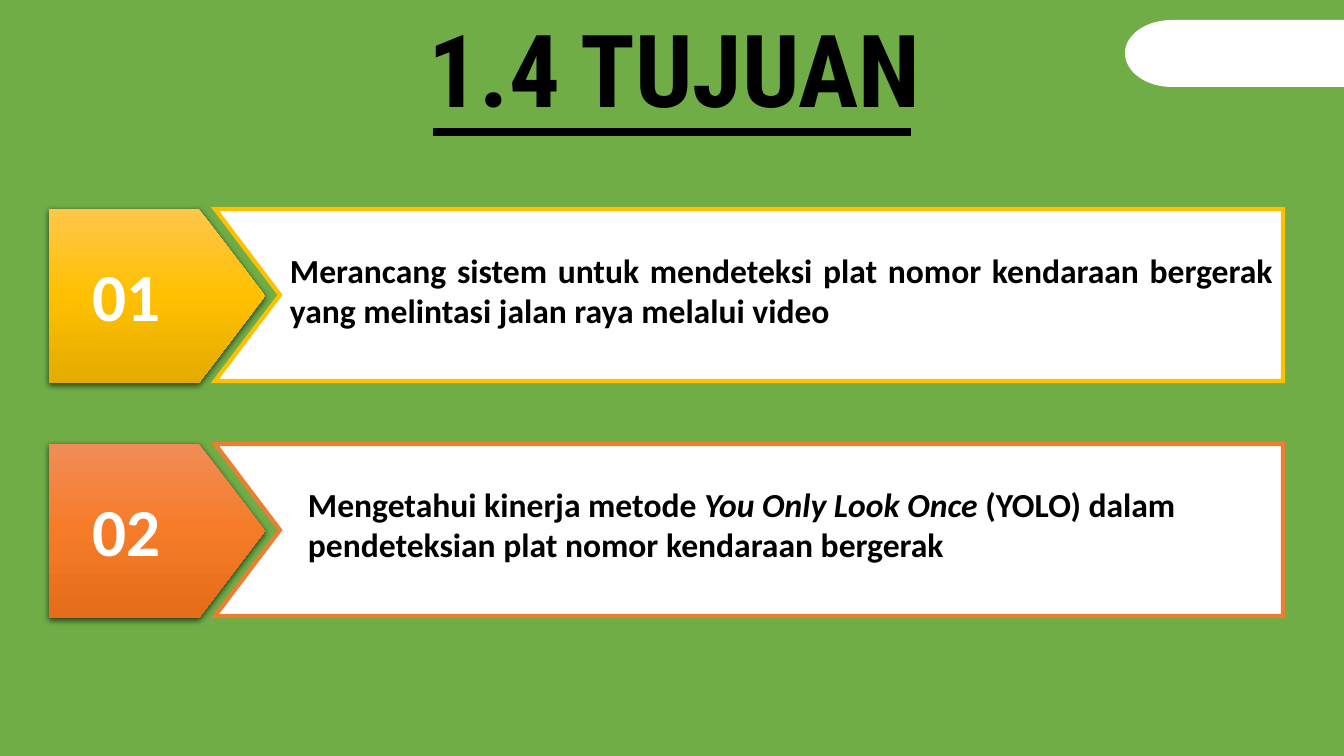
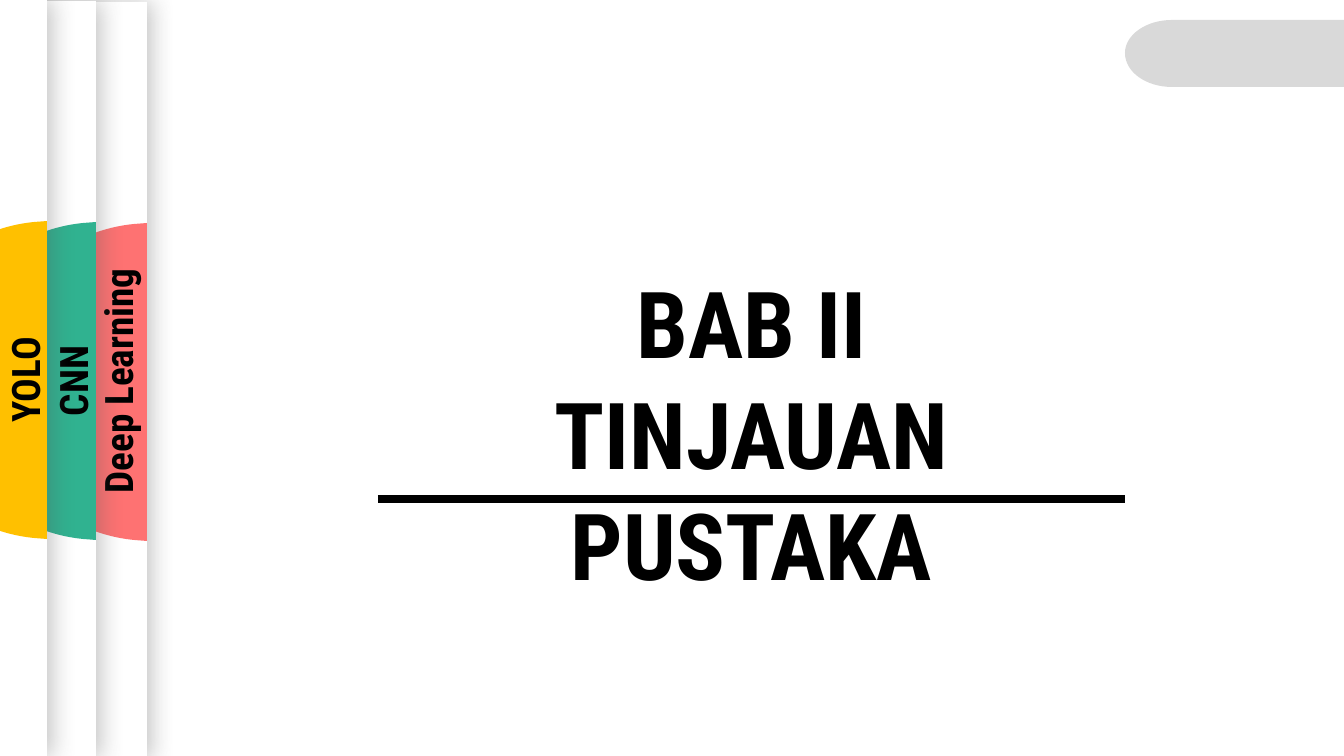
from lxml.etree import SubElement
from pptx import Presentation
from pptx.dml.color import RGBColor
from pptx.enum.shapes import MSO_CONNECTOR, MSO_SHAPE
from pptx.enum.text import MSO_ANCHOR, PP_ALIGN
from pptx.oxml.ns import qn
from pptx.util import Emu, Pt

EMU_PER_PX = 914400 / 100.8
WIDTH, HEIGHT = 1344, 756
BLACK, WHITE, AMBER = "000000", "FFFFFF", "FFC000"
HEADING_FONT, BODY_FONT = "Roboto Condensed", "Calibri"


def px(length):
    return Emu(round(length * EMU_PER_PX))


def rgb(code):
    return RGBColor.from_string(code)


class Deck:
    def __init__(self):
        self.prs = Presentation()
        self.prs.slide_width, self.prs.slide_height = px(WIDTH), px(HEIGHT)
        self.slide = self.shapes = None

    def new_slide(self, background):
        self.slide = self.prs.slides.add_slide(self.prs.slide_layouts[6])
        self.shapes = self.slide.shapes
        fill = self.slide.background.fill
        fill.solid()
        fill.fore_color.rgb = rgb(background)

    def style(self, shape, fill=None, border=None):
        shape.shadow.inherit = False
        if fill:
            shape.fill.solid()
            shape.fill.fore_color.rgb = rgb(fill)
        if border:
            shape.line.color.rgb = rgb(border)
            shape.line.width = Pt(3)
            SubElement(shape._element.spPr.find(qn("a:ln")), qn("a:miter"), lim="800000")
        else:
            shape.line.fill.background()
        return shape

    def shape(self, preset, x, y, width, height, fill=None):
        box = [px(v) for v in (x, y, width, height)]
        return self.style(self.shapes.add_shape(preset, *box), fill)

    def outline(self, corners, fill, border=None, curve=()):
        """Draw straight sides through the corners, then Bezier curves of three points each."""
        start, *rest = [(px(x), px(y)) for x, y in [*corners, *curve]]
        builder = self.shapes.build_freeform(*start, scale=1.0)
        builder.add_line_segments(rest, close=True)
        form = builder.convert_to_shape()
        segments = form._element.spPr.findall(".//" + qn("a:lnTo"))[len(corners) - 1:]
        for i in range(0, len(segments), 3):
            if not curve:
                break
            bend, *others = segments[i:i + 3]
            bend.tag = qn("a:cubicBezTo")
            for other in others:
                bend.append(other[0])
                other.getparent().remove(other)
        return self.style(form, fill, border)

    def corner_tab(self, fill):
        left, bend, right, top, middle, bottom = 1125, 1172, 1346, 20, 53, 87
        self.outline([(bend, top), (right, top), (right, bottom), (bend, bottom)], fill,
                     curve=[(1146, bottom), (left, 72), (left, middle),
                            (left, 35), (1146, top), (bend, top)])

    def half_disc(self, right, middle, fill):
        lower = [(right - 94, 150), (right - 156, 83), (right - 156, 0)]
        upper = [(right - 156, -83), (right - 94, -150), (right - 13, -158)]
        self.outline([(right, middle - 159), (right, middle + 159), (right - 13, middle + 158)],
                     fill, curve=[(x, middle + y) for x, y in lower + upper])

    def gradient(self, shape, colors):
        """Fill from top to bottom with evenly spaced colours."""
        shape.fill.gradient()
        shape.fill.gradient_angle = 270
        stops = shape._element.spPr.find(".//" + qn("a:gsLst"))
        stops.clear()
        for i, code in enumerate(colors):
            position = 100000 * i // (len(colors) - 1)
            stop = SubElement(stops, qn("a:gs"), pos=str(position))
            SubElement(stop, qn("a:srgbClr"), val=code)

    def shadow(self, shape, color, opacity, blur, distance, angle):
        effects = shape._element.spPr.find(qn("a:effectLst"))
        outer = SubElement(effects, qn("a:outerShdw"), blurRad=str(Pt(blur)),
                           dist=str(Pt(distance)), dir=str(angle * 60000),
                           algn="ctr", rotWithShape="0")
        code = SubElement(outer, qn("a:srgbClr"), val=color)
        SubElement(code, qn("a:alpha"), val=str(opacity * 1000))

    def rule(self, x1, x2, y):
        line = self.shapes.add_connector(
            MSO_CONNECTOR.STRAIGHT, px(x1), px(y), px(x2), px(y))
        line.line.color.rgb = rgb(BLACK)
        line.line.width = Pt(6)
        SubElement(line._element.spPr, qn("a:effectLst"))

    def text(self, content, x, y, width, height, *, size, font=HEADING_FONT,
             color=BLACK, align=PP_ALIGN.CENTER, anchor=MSO_ANCHOR.TOP, rotation=0):
        """Write bold text; each line is a paragraph and *marked* parts are italic."""
        box = self.shapes.add_textbox(px(x), px(y), px(width), px(height))
        box.rotation = rotation
        frame = box.text_frame
        frame.word_wrap = True
        frame.vertical_anchor = anchor
        for i, line in enumerate(content.split("\n")):
            paragraph = frame.add_paragraph() if i else frame.paragraphs[0]
            paragraph.alignment = align
            for j, part in enumerate(line.split("*")):
                run = paragraph.add_run()
                run.text = part
                run.font.name, run.font.size = font, Pt(size)
                run.font.bold, run.font.italic = True, j % 2 == 1
                run.font.color.rgb = rgb(color)

    def goal(self, number, top, colors, border, content, x, y, width, align):
        """Draw a numbered arrow with a notched panel holding one goal."""
        arrow = self.shape(MSO_SHAPE.PENTAGON, 49, top, 216, 174)
        arrow.adjustments[0] = 0.38
        self.gradient(arrow, colors)
        self.shadow(arrow, BLACK, 63, 4.5, 1.5, 90)
        left, right, bottom = 215, 1283, top + 172
        self.outline([(left, top), (right, top), (right, bottom), (left, bottom),
                      (280, top + 86)], WHITE, border)
        self.text(number, 83, top + 45, 117, 82, size=48, font=BODY_FONT, color=WHITE,
                  align=PP_ALIGN.LEFT, anchor=MSO_ANCHOR.MIDDLE)
        self.text(content, x, y, width, 92, size=24, font=BODY_FONT, align=align)

    def side_panel(self, label, right, top, color, label_x, label_y):
        """Group a page-sized sheet, pushed out to the left, with its tab and label."""
        self.shapes = self.slide.shapes.add_group_shape().shapes
        sheet = self.shape(MSO_SHAPE.RECTANGLE, right - WIDTH, top, WIDTH, HEIGHT, WHITE)
        self.shadow(sheet, "595959", 35, 17, 3, 0)
        self.half_disc(right, 380 + top, color)
        width, height = 254, 58
        self.text(label, label_x - width // 2, label_y - height // 2, width, height,
                  size=28, rotation=270)
        self.shapes = self.slide.shapes


def goals_slide(deck):
    deck.new_slide("70AD47")
    deck.text("1.4 TUJUAN", 242, 2, 866, 132, size=72)
    deck.corner_tab(WHITE)
    deck.rule(433, 911, 132)
    goals = [
        (("FFC64B", AMBER, "E3AB00"), AMBER,
         "Merancang sistem untuk mendeteksi plat nomor kendaraan bergerak "
         "yang melintasi jalan raya melalui video", 280, 245, 1003, PP_ALIGN.JUSTIFY),
        (("F18C57", "F67B28", "E56C19"), "ED7D31",
         "Mengetahui kinerja metode *You Only Look Once* (YOLO) dalam\n"
         "pendeteksian plat nomor kendaraan bergerak", 298, 479, 974, PP_ALIGN.LEFT),
    ]
    for i, goal in enumerate(goals):
        deck.goal(f"{i + 1:02}", 209 + 235 * i, *goal)


def chapter_slide(deck):
    deck.new_slide(WHITE)
    for panel in [("Deep Learning", 147, 2, "FE7272", 118, 381),
                  ("CNN", 96, 1, "30B290", 73, 381),
                  ("YOLO", 47, 0, AMBER, 25, 380)]:
        deck.side_panel(*panel)
    deck.corner_tab("D9D9D9")
    deck.text("BAB II\nTINJAUAN PUSTAKA", 430, 261, 643, 234, size=66)
    deck.rule(378, 1125, 499)


def main():
    deck = Deck()
    goals_slide(deck)
    chapter_slide(deck)
    deck.prs.save("out.pptx")


if __name__ == "__main__":
    main()
